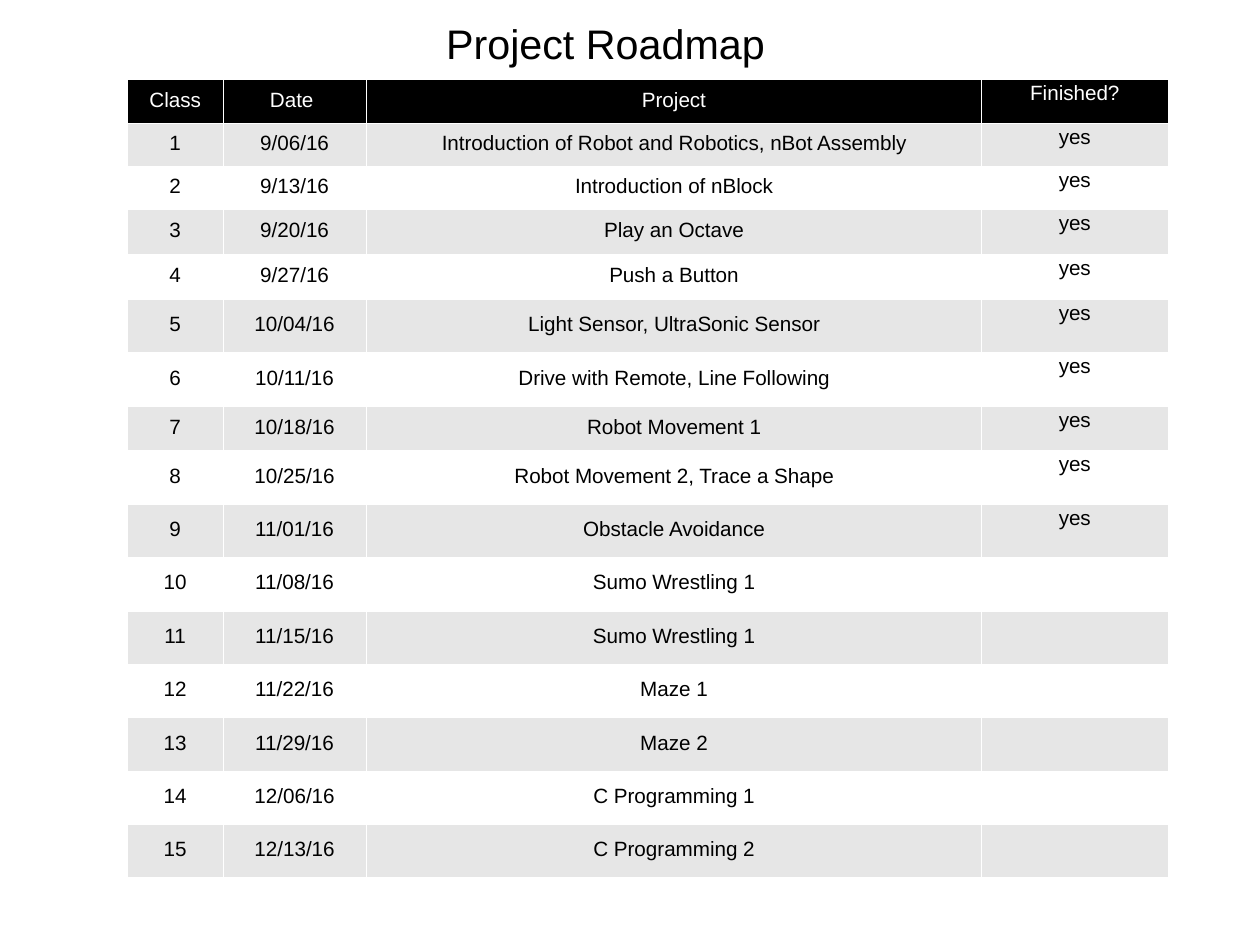
from lxml.etree import SubElement
from pptx import Presentation
from pptx.dml.color import RGBColor
from pptx.enum.text import MSO_ANCHOR, PP_ALIGN
from pptx.oxml.ns import qn
from pptx.util import Pt

COLORS = {"black": "000000", "white": "FFFFFF", "band": "E6E6E6"}
FONT = "Arial"
HEADINGS = ("Class", "Date ", "Project", "Finished?")
PROJECTS = [
    ("9/06/16", "Introduction of Robot and Robotics, nBot Assembly"),
    ("9/13/16", "Introduction of nBlock"),
    ("9/20/16", "Play an Octave"),
    ("9/27/16", "Push a Button"),
    ("10/04/16", "Light Sensor, UltraSonic Sensor"),
    ("10/11/16", "Drive with Remote, Line Following"),
    ("10/18/16", "Robot Movement 1"),
    ("10/25/16", "Robot Movement 2, Trace a Shape"),
    ("11/01/16", "Obstacle Avoidance"),
    ("11/08/16", "Sumo Wrestling 1"),
    ("11/15/16", "Sumo Wrestling 1"),
    ("11/22/16", "Maze 1"),
    ("11/29/16", "Maze 2"),
    ("12/06/16", "C Programming 1"),
    ("12/13/16", "C Programming 2"),
]
FINISHED_COUNT = 9
COLUMN_WIDTHS = (60, 90.5, 387.5, 117.5)
TALL_ROW = 33.6
ROW_HEIGHTS = [28, 26.6, 27.4, 28.1, 28.4, TALL_ROW, TALL_ROW, 28.1] + [TALL_ROW] * 8


def rgb(name):
    return RGBColor.from_string(COLORS[name])


def format_paragraph(paragraph, size, color, spacing, alignment):
    paragraph.alignment = alignment
    paragraph.line_spacing = spacing
    for run in paragraph.runs:
        run.font.name = FONT
        run.font.size = Pt(size)
        run.font.color.rgb = rgb(color)


def add_title(slide, left, top, width, height):
    title = slide.shapes.add_textbox(Pt(left), Pt(top), Pt(width), Pt(height))
    frame = title.text_frame
    frame.word_wrap = True
    frame.vertical_anchor = MSO_ANCHOR.MIDDLE
    frame.margin_left = frame.margin_right = frame.margin_bottom = 0
    frame.margin_top = Pt(2)
    frame.text = "Project Roadmap"
    format_paragraph(frame.paragraphs[0], 26, "black", 0.93, PP_ALIGN.LEFT)


def add_cell_borders(cell):
    properties = cell._tc.get_or_add_tcPr()
    for side in ("a:lnL", "a:lnR", "a:lnT", "a:lnB"):
        line = SubElement(properties, qn(side), w=str(Pt(0.06)))
        fill = SubElement(line, qn("a:solidFill"))
        SubElement(fill, qn("a:srgbClr"), val=COLORS["white"])


def fill_cell(cell, text, fill_color, text_color, anchor):
    add_cell_borders(cell)
    cell.fill.solid()
    cell.fill.fore_color.rgb = rgb(fill_color)
    cell.vertical_anchor = anchor
    cell.margin_left = cell.margin_right = Pt(7.1)
    cell.margin_top = cell.margin_bottom = Pt(3.3)
    if text:
        cell.text_frame.text = text
        format_paragraph(cell.text_frame.paragraphs[0], 13, text_color, 0.87, PP_ALIGN.CENTER)


def add_roadmap(slide, left, top, width, height):
    rows = [HEADINGS]
    for number, (date, project) in enumerate(PROJECTS, start=1):
        rows.append((str(number), date, project, "yes" if number <= FINISHED_COUNT else ""))
    table = slide.shapes.add_table(len(rows), len(HEADINGS), Pt(left), Pt(top),
                                   Pt(width), Pt(height)).table
    table.first_row = table.horz_banding = False
    for column, share in zip(table.columns, COLUMN_WIDTHS):
        column.width = Pt(width * share / sum(COLUMN_WIDTHS))
    for row_index, values in enumerate(rows):
        table.rows[row_index].height = Pt(height * ROW_HEIGHTS[row_index] / sum(ROW_HEIGHTS))
        if row_index == 0:
            fill_color, text_color = "black", "white"
        else:
            fill_color, text_color = ("band" if row_index % 2 else "white"), "black"
        for column_index, text in enumerate(values):
            is_finished_column = column_index == len(HEADINGS) - 1
            anchor = MSO_ANCHOR.TOP if is_finished_column else MSO_ANCHOR.MIDDLE
            fill_cell(table.cell(row_index, column_index), text, fill_color, text_color, anchor)


def main():
    presentation = Presentation()
    presentation.slide_width, presentation.slide_height = Pt(793.7), Pt(595.28)
    slide = presentation.slides.add_slide(presentation.slide_layouts[6])
    add_title(slide, 281, -0.7, 209, 57)
    add_roadmap(slide, 80.3, 49.8, 655.5, 503.3)
    presentation.save("out.pptx")


if __name__ == "__main__":
    main()
